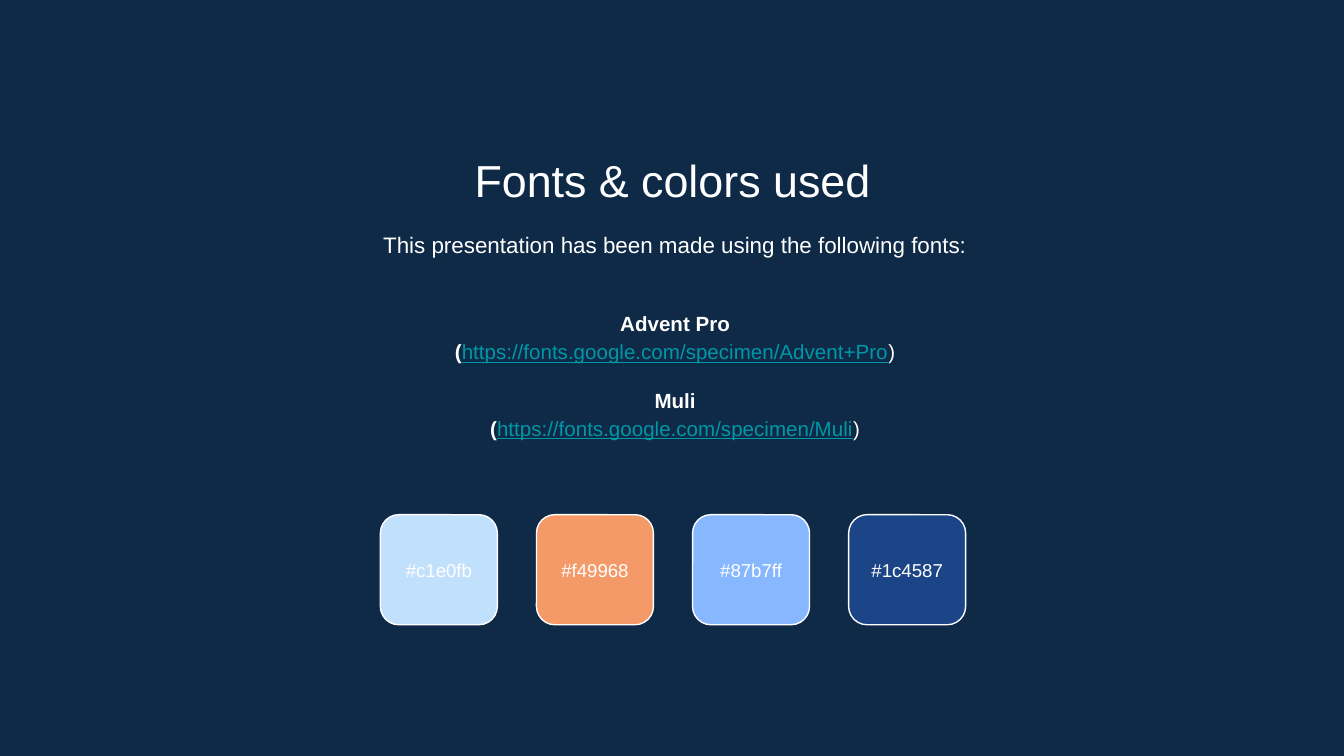
from pptx import Presentation
from pptx import util as u
from pptx.dml.color import RGBColor
from pptx.enum import shapes, text

NAVY = RGBColor(0x0E, 0x2A, 0x47)
WHITE = RGBColor(0xFF, 0xFF, 0xFF)
TEAL = RGBColor(0x00, 0x97, 0xA7)

FONTS = [
    ("Advent Pro", "https://fonts.google.com/specimen/Advent+Pro"),
    ("Muli", "https://fonts.google.com/specimen/Muli"),
]
SWATCHES = ["c1e0fb", "f49968", "87b7ff", "1c4587"]
CONTENT_WIDTH = 19.58
SWATCH_LEFT, SWATCH_TOP, SWATCH_STEP = 7.19, 9.73, 2.95
SWATCH_WIDTH, SWATCH_HEIGHT, LABEL_HEIGHT = 2.21, 2.08, 1.22


class SlideBuilder:
    font_name = "Arial"
    inset = u.Cm(0.25)

    def __init__(self, presentation):
        self.slide = presentation.slides.add_slide(presentation.slide_layouts[6])
        fill = self.slide.background.fill
        fill.solid()
        fill.fore_color.rgb = NAVY

    def text_frame(self, left, top, width, height, anchor=text.MSO_ANCHOR.TOP):
        box = self.slide.shapes.add_textbox(
            u.Cm(left), u.Cm(top), u.Cm(width), u.Cm(height))
        frame = box.text_frame
        frame.word_wrap = True
        frame.vertical_anchor = anchor
        frame.margin_left = frame.margin_right = self.inset
        frame.margin_top = frame.margin_bottom = self.inset
        return frame

    def fill_paragraph(self, paragraph, pieces, size, line_spacing=1.0):
        paragraph.alignment = text.PP_ALIGN.CENTER
        paragraph.line_spacing = line_spacing
        for wording, bold, color in pieces:
            run = paragraph.add_run()
            run.text = wording
            run.font.name = self.font_name
            run.font.size = u.Pt(size)
            run.font.bold = bold
            run.font.underline = color == TEAL
            run.font.color.rgb = color

    def line(self, wording, left, top, width, height, size,
             line_spacing=1.0, anchor=text.MSO_ANCHOR.TOP):
        frame = self.text_frame(left, top, width, height, anchor)
        self.fill_paragraph(frame.paragraphs[0], [(wording, False, WHITE)],
                            size, line_spacing)

    def font_list(self, fonts, left, top, width, height):
        frame = self.text_frame(left, top, width, height, text.MSO_ANCHOR.MIDDLE)
        for index, (name, address) in enumerate(fonts):
            heading = frame.add_paragraph() if index else frame.paragraphs[0]
            if index:
                heading.space_before = u.Pt(10.6)
            self.fill_paragraph(heading, [(name, True, WHITE)], 11, 1.15)
            link = [("(", True, WHITE), (address, False, TEAL), (")", False, WHITE)]
            self.fill_paragraph(frame.add_paragraph(), link, 11, 1.15)

    def swatch(self, code, left, top):
        shape = self.slide.shapes.add_shape(
            shapes.MSO_SHAPE.ROUNDED_RECTANGLE, u.Cm(left), u.Cm(top),
            u.Cm(SWATCH_WIDTH), u.Cm(SWATCH_HEIGHT))
        shape.shadow.inherit = False
        shape.fill.solid()
        shape.fill.fore_color.rgb = RGBColor.from_string(code.upper())
        shape.line.color.rgb = WHITE
        shape.line.width = u.Pt(0.75)
        label_top = top + (SWATCH_HEIGHT - LABEL_HEIGHT) / 2
        self.line(f"#{code}", left, label_top, SWATCH_WIDTH, LABEL_HEIGHT, 10,
                  anchor=text.MSO_ANCHOR.MIDDLE)


def main():
    presentation = Presentation()
    presentation.slide_width = u.Cm(25.4)
    presentation.slide_height = u.Cm(14.29)
    builder = SlideBuilder(presentation)
    builder.line("Fonts & colors used", 2.92, 2.64, CONTENT_WIDTH, 1.35, 24)
    builder.line("This presentation has been made using the following fonts:",
                 2.97, 4.04, CONTENT_WIDTH, 1.22, 12, 1.15)
    builder.font_list(FONTS, 2.97, 5.33, CONTENT_WIDTH, 3.48)
    for index, code in enumerate(SWATCHES):
        builder.swatch(code, SWATCH_LEFT + index * SWATCH_STEP, SWATCH_TOP)
    presentation.save("out.pptx")


if __name__ == "__main__":
    main()
